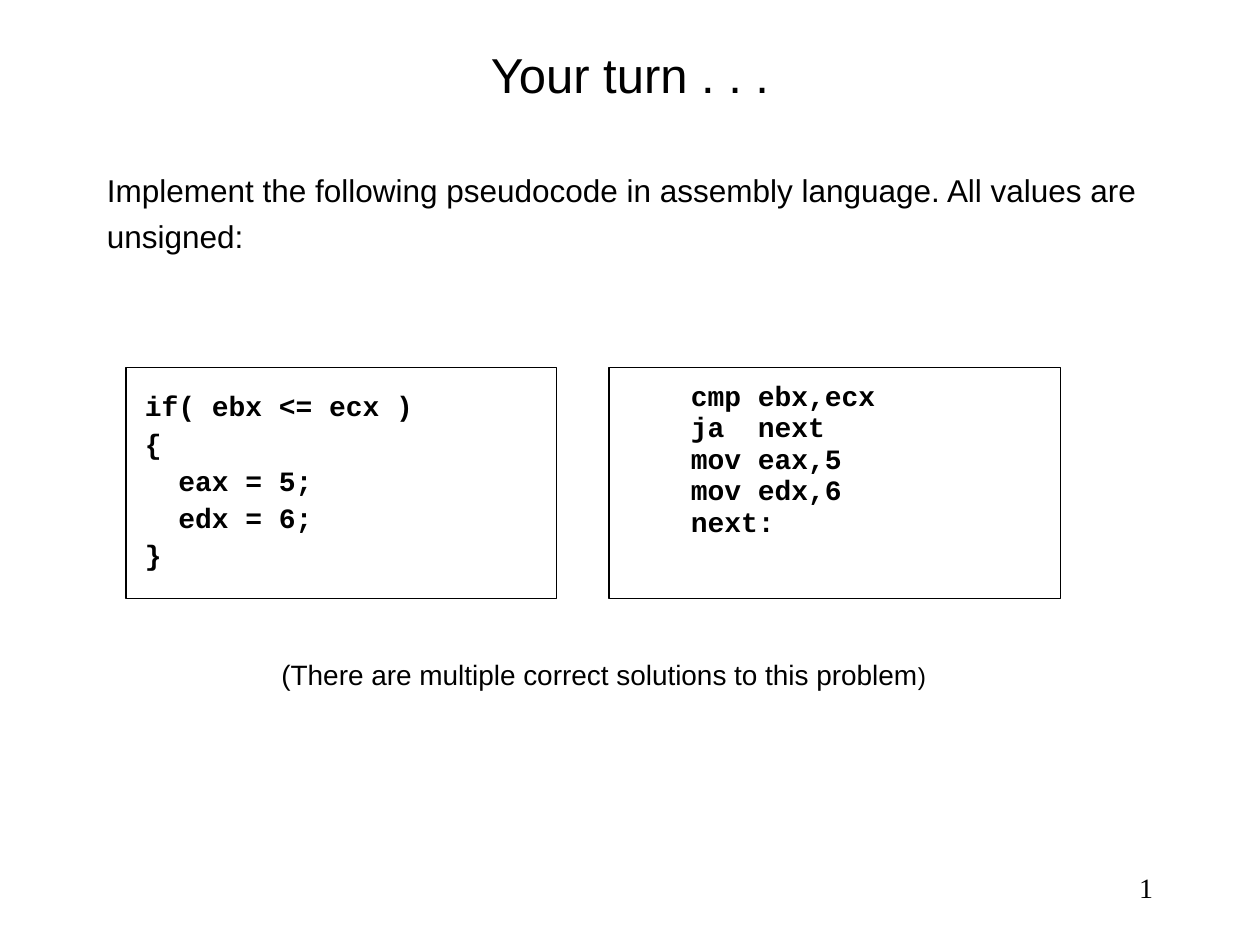
from dataclasses import dataclass

from pptx import Presentation
from pptx.dml.color import RGBColor
from pptx.enum.shapes import MSO_SHAPE
from pptx.enum.text import MSO_ANCHOR, PP_ALIGN
from pptx.oxml.ns import qn
from pptx.slide import Slide
from pptx.text.text import Font, TextFrame
from pptx.util import Pt

BLACK = "000000"


@dataclass
class Box:
    left: float
    top: float
    width: float
    height: float


@dataclass
class CodePanel:
    box: Box
    lines: list[str]
    line_spacing: float
    space_before: float
    indent: float
    top_inset: float


PANEL_TOP, PANEL_HEIGHT = 210, 132
PANELS = [
    CodePanel(
        Box(72, PANEL_TOP, 246, PANEL_HEIGHT),
        ["if( ebx <= ecx )", "{", "  eax = 5;", "  edx = 6;", "}"],
        line_spacing=0.9, space_before=4, indent=0, top_inset=14.4,
    ),
    CodePanel(
        Box(348, PANEL_TOP, 258, PANEL_HEIGHT),
        ["cmp ebx,ecx", "ja  next", "mov eax,5", "mov edx,6", "next:"],
        line_spacing=0.5, space_before=8.4, indent=36, top_inset=14.4,
    ),
]


def color(value: str) -> RGBColor:
    return RGBColor.from_string(value)


def format_font(font: Font, name: str, size: float, bold: bool = False) -> None:
    font.name = name
    font.size = Pt(size)
    font.bold = bold
    font.color.rgb = color(BLACK)


def place(shape, box: Box) -> None:
    shape.left, shape.top = Pt(box.left), Pt(box.top)
    shape.width, shape.height = Pt(box.width), Pt(box.height)


def set_insets(text_frame: TextFrame, horizontal: float, top: float) -> None:
    text_frame.margin_left = text_frame.margin_right = Pt(horizontal)
    text_frame.margin_top = text_frame.margin_bottom = Pt(top)


def add_title(slide: Slide, text: str) -> None:
    title = slide.shapes.title
    place(title, Box(54, 18, 612, 48))
    text_frame = title.text_frame
    text_frame.text = text
    text_frame.vertical_anchor = MSO_ANCHOR.MIDDLE
    paragraph = text_frame.paragraphs[0]
    paragraph.alignment = PP_ALIGN.CENTER
    format_font(paragraph.runs[0].font, "Arial", 28)


def add_text(slide: Slide, box: Box, text: str, font_name: str, size: float,
             alignment: PP_ALIGN = PP_ALIGN.LEFT, top_inset: float = 3.6) -> TextFrame:
    shape = slide.shapes.add_textbox(
        Pt(box.left), Pt(box.top), Pt(box.width), Pt(box.height))
    text_frame = shape.text_frame
    text_frame.word_wrap = True
    set_insets(text_frame, 7.2, top_inset)
    text_frame.text = text
    paragraph = text_frame.paragraphs[0]
    paragraph.alignment = alignment
    format_font(paragraph.runs[0].font, font_name, size)
    return text_frame


def add_code_panel(slide: Slide, panel: CodePanel) -> None:
    box = panel.box
    shape = slide.shapes.add_shape(
        MSO_SHAPE.RECTANGLE, Pt(box.left), Pt(box.top), Pt(box.width), Pt(box.height))
    shape.shadow.inherit = False
    shape.fill.background()
    shape.line.color.rgb = color(BLACK)
    shape.line.width = Pt(0.75)
    text_frame = shape.text_frame
    text_frame.word_wrap = True
    text_frame.vertical_anchor = MSO_ANCHOR.TOP
    set_insets(text_frame, 10.8, panel.top_inset)
    text_frame.text = "\n".join(panel.lines)
    for index, paragraph in enumerate(text_frame.paragraphs):
        paragraph.alignment = PP_ALIGN.LEFT
        paragraph.line_spacing = panel.line_spacing
        paragraph.space_before = Pt(panel.space_before if index else 0)
        properties = paragraph._p.get_or_add_pPr()
        properties.set("marL", str(Pt(panel.indent)))
        properties.set("indent", "0")
        format_font(paragraph.runs[0].font, "Courier New", 16, bold=True)


def add_slide_number(slide: Slide, number: int) -> None:
    text_frame = add_text(slide, Box(588, 492, 78, 30), str(number),
                          "Times New Roman", 16, PP_ALIGN.RIGHT)
    text_frame.vertical_anchor = MSO_ANCHOR.MIDDLE
    run = text_frame.paragraphs[0].runs[0]._r
    field = run.makeelement(
        qn("a:fld"),
        {"id": "{B6F15528-21DE-4FAA-801E-634DDDAF4B2B}", "type": "slidenum"})
    run.addprevious(field)
    field.extend(list(run))
    run.getparent().remove(run)


def main() -> None:
    presentation = Presentation()
    presentation.slide_width, presentation.slide_height = Pt(720), Pt(540)
    slide = presentation.slides.add_slide(presentation.slide_layouts[5])
    for _ in range(33):
        pass
    add_title(slide, "Your turn . . .")
    task = add_text(
        slide, Box(54, 90, 612, 96),
        "Implement the following pseudocode in assembly language. "
        "All values are unsigned:", "Arial", 18)
    task.paragraphs[0].line_spacing = 1.2
    for panel in PANELS:
        add_code_panel(slide, panel)
    note = add_text(
        slide, Box(60, 366, 570, 41),
        "(There are multiple correct solutions to this problem",
        "Arial", 16, PP_ALIGN.CENTER, top_inset=10.8)
    closing = note.paragraphs[0].add_run()
    closing.text = ")"
    format_font(closing.font, "Arial", 14)
    add_slide_number(slide, 34)
    presentation.save("out.pptx")


if __name__ == "__main__":
    main()
